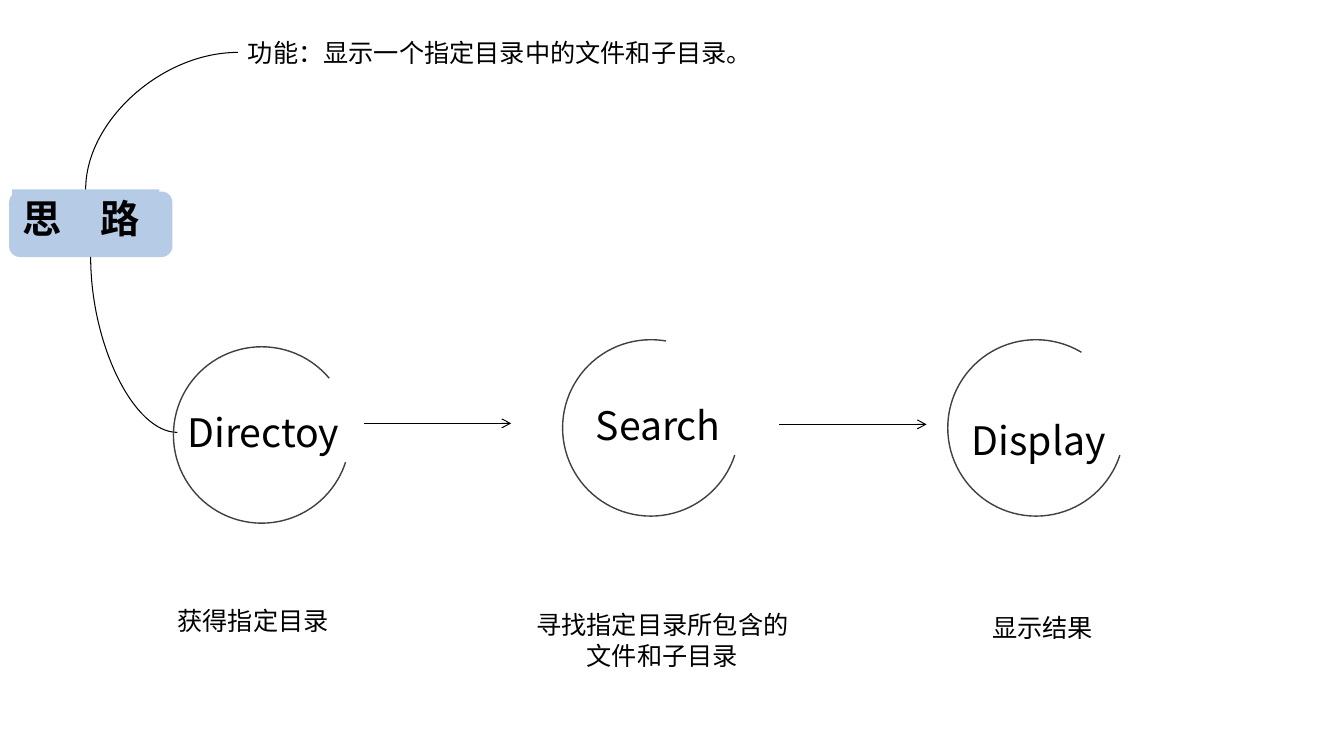
from pptx import Presentation
from pptx import util as u
from pptx.dml import color
from pptx.enum import shapes, text
from pptx.oxml import ns
from lxml import etree

BLACK = color.RGBColor(0x00, 0x00, 0x00)
GREY = color.RGBColor(0x40, 0x40, 0x40)
BLUE = color.RGBColor(0xB6, 0xCB, 0xE6)
LATIN_FONT = "Calibri"
STEP_FONT = "Noto Sans CJK SC"


def inches(*lengths):
    return [u.Inches(length) for length in lengths]


def write_text(shape, content, size=18, font=LATIN_FONT, bold=False,
               align=text.PP_ALIGN.LEFT, wrap=True):
    frame = shape.text_frame
    frame.text = content
    frame.word_wrap = wrap
    frame.auto_size = text.MSO_AUTO_SIZE.NONE
    frame.vertical_anchor = text.MSO_ANCHOR.TOP
    for paragraph in frame.paragraphs:
        paragraph.alignment = align
        paragraph.font.size = u.Pt(size)
        paragraph.font.name = font
        paragraph.font.bold = bold
        paragraph.font.color.rgb = BLACK


def add_text(slide, box, content, **style):
    write_text(slide.shapes.add_textbox(*inches(*box)), content, **style)


def add_line(slide, start, end, kind=shapes.MSO_CONNECTOR.STRAIGHT):
    line = slide.shapes.add_connector(kind, *inches(*start, *end))
    line.line.color.rgb = BLACK
    line.line.width = u.Pt(0.75)
    etree.SubElement(line.element.spPr, ns.qn("a:effectLst"))
    return line


def add_arrow(slide, start, end):
    outline = add_line(slide, start, end).element.spPr.find(ns.qn("a:ln"))
    etree.SubElement(outline, ns.qn("a:tailEnd"), type="arrow")


def add_curve(slide, start, end):
    curve = add_line(slide, start, end, shapes.MSO_CONNECTOR.CURVE)
    curve.element.spPr.find(ns.qn("a:prstGeom")).set("prst", "curvedConnector2")


def add_topic(slide, box):
    left, top, width, height = box
    badge = slide.shapes.add_shape(
        shapes.MSO_SHAPE.ROUNDED_RECTANGLE, *inches(*box))
    badge.shadow.inherit = False
    badge.fill.solid()
    badge.fill.fore_color.rgb = BLUE
    badge.line.fill.background()

    title = slide.shapes.title
    title.left, title.top, title.width, title.height = inches(
        left + 0.03, top - 0.02, 1.46, 0.57)
    title.fill.solid()
    title.fill.fore_color.rgb = BLUE
    write_text(title, "思\u3000路", size=28, bold=True)
    badge.element.addnext(title.element)

    add_curve(slide, (left + 2.27, top - 1.38), (left + 0.76, top - 0.02))
    add_curve(slide, (left + 1.67, top + 2.39), (left + 0.81, top + height))


def add_step(slide, box, name, name_offset, opening):
    left, top, width, height = box
    ring = slide.shapes.add_shape(shapes.MSO_SHAPE.ARC, *inches(*box))
    ring.shadow.inherit = False
    ring.fill.background()
    ring.line.color.rgb = GREY
    ring.line.width = u.Pt(1)
    for index, degrees in enumerate((18, opening)):
        ring.adjustments[index] = degrees * 60000 / 100000
    across, down = name_offset
    add_text(slide, (left + across, top + down, width + 0.2, 0.57), name,
             size=28, font=STEP_FONT)


def build_slide(presentation):
    slide = presentation.slides.add_slide(presentation.slide_layouts[5])
    add_topic(slide, (0.09, 1.9, 1.62, 0.65))
    add_text(slide, (2.36, 0.32, 5.2, 0.4),
             "功能：显示一个指定目录中的文件和子目录。", wrap=False)

    steps = [
        ((1.72, 3.44), "Directoy", (0.04, 0.56), -40 % 360,
         (1.66, 5.96, 1.7, 0.4), "获得指定目录"),
        ((5.58, 3.37), "Search", (0.23, 0.56), -80 % 360,
         (5.22, 6, 2.7, 0.7), "寻找指定目录所包含的\n文件和子目录"),
        ((9.4, 3.37), "Display", (0.14, 0.71), -59 % 360,
         (9.74, 6.03, 1.2, 0.4), "显示结果"),
    ]
    for corner, name, offset, opening, caption_box, caption in steps:
        add_step(slide, (*corner, 1.75, 1.75), name, offset, opening)
        add_text(slide, caption_box, caption, wrap=False,
                 align=text.PP_ALIGN.CENTER)

    for left, top in ((3.61, 4.2), (7.73, 4.21)):
        add_arrow(slide, (left, top), (left + 1.46, top))


presentation = Presentation()
presentation.slide_width, presentation.slide_height = inches(13.33, 7.5)
build_slide(presentation)
presentation.save("out.pptx")
